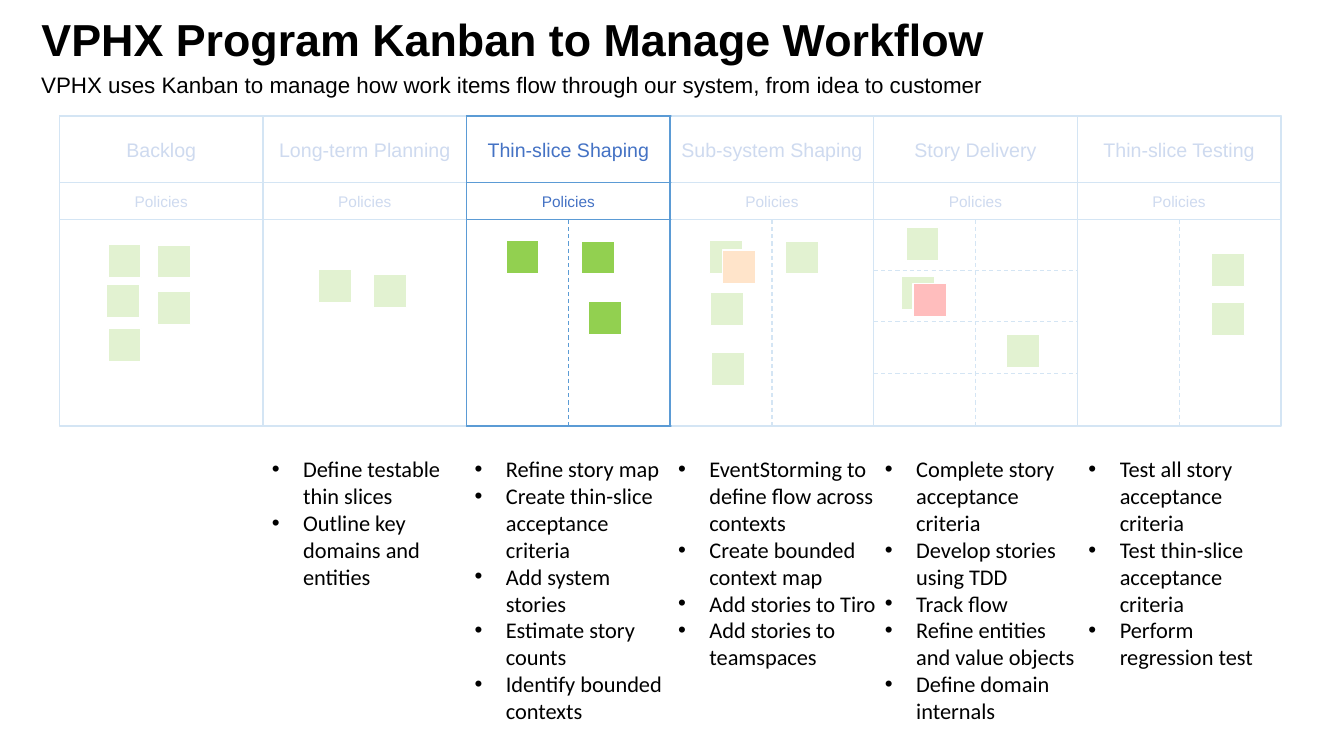
from lxml.etree import SubElement
from pptx import Presentation
from pptx.dml.color import RGBColor
from pptx.enum.dml import MSO_LINE_DASH_STYLE as Dash
from pptx.enum.shapes import MSO_CONNECTOR_TYPE as Link, MSO_SHAPE as Shape
from pptx.enum.text import MSO_ANCHOR as Anchor, MSO_AUTO_SIZE as AutoSize, PP_ALIGN as Align
from pptx.oxml.ns import qn
from pptx.util import Cm, Pt

BLUE, TEXT_BLUE, GREEN, ORANGE, RED = "5B9BD5", "4472C4", "92D050", "FF9933", "FF0000"
WHITE, BLACK = "FFFFFF", "000000"
LEFT, TOP, COLUMN, NOTE = 1.5, 2.92, 5.13, 0.84
HEADER, POLICY, BODY = 1.68, 0.94, 7.82

columns = [
    {"name": "Backlog", "split": False,
     "notes": [(2.72, 6.15), (3.96, 6.17), (2.69, 7.16), (3.96, 7.34), (2.72, 8.28)]},
    {"name": "Long-term Planning", "split": False,
     "notes": [(8.03, 6.78), (9.4, 6.91)],
     "list": (6.6, 5.16, ["Define testable thin slices", "Outline key domains and entities"])},
    {"name": "Thin-slice Shaping", "split": True,
     "notes": [(12.75, 6.05), (14.66, 6.07), (14.83, 7.59)],
     "list": (11.71, 5.51, ["Refine story map", "Create thin-slice acceptance criteria",
                            "Add system stories", "Estimate story counts",
                            "Identify bounded contexts"])},
    {"name": "Sub-system Shaping", "split": True,
     "notes": [(17.88, 6.05), (19.79, 6.07), (17.91, 7.37), (17.93, 8.89), (18.21, 6.3, ORANGE)],
     "list": (16.84, 5.51, ["EventStorming to define flow across contexts",
                            "Create bounded context map", "Add stories to Tiro",
                            "Add stories to teamspaces"])},
    {"name": "Story Delivery", "split": True, "lanes": [6.81, 8.1, 9.42],
     "notes": [(22.83, 5.74), (22.71, 6.96), (25.37, 8.43), (23.01, 7.14, RED)],
     "list": (22.05, 5.51, ["Complete story acceptance criteria", "Develop stories using TDD",
                            "Track flow", "Refine entities and value objects",
                            "Define domain internals"])},
    {"name": "Thin-slice Testing", "split": True,
     "notes": [(30.53, 6.38), (30.53, 7.62)],
     "list": (27.18, 5.51, ["Test all story acceptance criteria",
                            "Test thin-slice acceptance criteria", "Perform regression test"])},
]


def color(value):
    return RGBColor.from_string(value)


def write(para, text, name, size, tint, bold=False):
    span = para.add_run()
    span.text = text
    for key, value in {"name": name, "size": Pt(size), "bold": bold}.items():
        setattr(span.font, key, value)
    span.font.color.rgb = color(tint)


deck = Presentation()
deck.slide_width, deck.slide_height = Cm(33.87), Cm(19.05)
page = deck.slides.add_slide(deck.slide_layouts[5])
shapes = page.shapes

title = shapes.title
place = {"left": Cm(0.79), "top": Cm(0.33), "width": Cm(25.86), "height": Cm(1.37)}
for key, value in place.items():
    setattr(title, key, value)
frame = {"word_wrap": True, "auto_size": AutoSize.NONE, "vertical_anchor": Anchor.TOP}
for key, value in frame.items():
    setattr(title.text_frame, key, value)
para = title.text_frame.paragraphs[0]
para.alignment, para.line_spacing = Align.LEFT, 0.9
write(para, "VPHX Program Kanban to Manage Workflow", "Arial", 32, BLACK, True)

subtitle = shapes.add_textbox(Cm(0.79), Cm(1.68), Cm(28.32), Cm(0.94))
subtitle.text_frame.word_wrap = True
write(subtitle.text_frame.paragraphs[0],
      "VPHX uses Kanban to manage how work items flow through our system, from idea to customer",
      "Arial", 16, BLACK)

for index, column in enumerate(columns):
    left = LEFT + index * COLUMN
    parts = []
    for top, height, text, size in [
        (TOP, BODY, "", 14),
        (TOP, HEADER, column["name"], 14),
        (TOP + HEADER, POLICY, "Policies", 11),
    ]:
        box = shapes.add_shape(Shape.RECTANGLE, Cm(left), Cm(top), Cm(COLUMN), Cm(height))
        box.shadow.inherit = False
        box.fill.solid()
        box.fill.fore_color.rgb = color(WHITE)
        box.line.color.rgb = color(BLUE)
        box.line.width = Pt(1)
        if text:
            inner = {"margin_left": Cm(0.1), "margin_right": Cm(0.1),
                     "vertical_anchor": Anchor.MIDDLE, "word_wrap": True}
            for key, value in inner.items():
                setattr(box.text_frame, key, value)
            para = box.text_frame.paragraphs[0]
            para.alignment = Align.CENTER
            write(para, text, "Arial", size, TEXT_BLUE)
        parts.append(box)
    body, header, policy = parts

    lines = []
    if column["split"]:
        divider = shapes.add_connector(Link.STRAIGHT, 0, 0, 0, 0)
        divider.begin_connect(policy, 2)
        divider.end_connect(body, 2)
        lines.append(divider)
    for lane in column.get("lanes", []):
        lines.append(shapes.add_connector(
            Link.STRAIGHT, Cm(left), Cm(lane), Cm(left + COLUMN), Cm(lane)))
    for line in lines:
        line.line.color.rgb = color(BLUE)
        line.line.width = Pt(0.75)
        line.line.dash_style = Dash.DASH
        SubElement(line._element.spPr, qn("a:effectLst"))

    for x, y, *tint in column["notes"]:
        note = shapes.add_shape(Shape.RECTANGLE, Cm(x), Cm(y), Cm(NOTE), Cm(NOTE))
        note.shadow.inherit = False
        note.fill.solid()
        note.fill.fore_color.rgb = color(tint[0] if tint else GREEN)
        note.line.color.rgb = color(WHITE)
        note.line.width = Pt(1)

    if "list" in column:
        x, width, items = column["list"]
        box = shapes.add_textbox(Cm(x), Cm(11.35), Cm(width), Cm(5.7))
        box.text_frame.word_wrap = True
        for number, item in enumerate(items):
            para = box.text_frame.add_paragraph() if number else box.text_frame.paragraphs[0]
            props = para._p.get_or_add_pPr()
            props.set("marL", str(Cm(0.79)))
            props.set("indent", str(-Cm(0.79)))
            tint = SubElement(props, qn("a:buClr"))
            SubElement(tint, qn("a:srgbClr"), val=BLACK)
            SubElement(props, qn("a:buFont"), typeface="Arial")
            SubElement(props, qn("a:buChar"), char="•")
            write(para, item, "Calibri", 16, BLACK)

for left, width in [(0.84, 10.9), (16.92, 15.44)]:
    veil = shapes.add_shape(Shape.RECTANGLE, Cm(left), Cm(2.72), Cm(width), Cm(8.08))
    veil.shadow.inherit = False
    veil.fill.solid()
    veil.fill.fore_color.rgb = color(WHITE)
    veil.line.fill.background()
    tint = veil._element.spPr.find(qn("a:solidFill")).find(qn("a:srgbClr"))
    SubElement(tint, qn("a:alpha"), val="74000")

deck.save("out.pptx")
